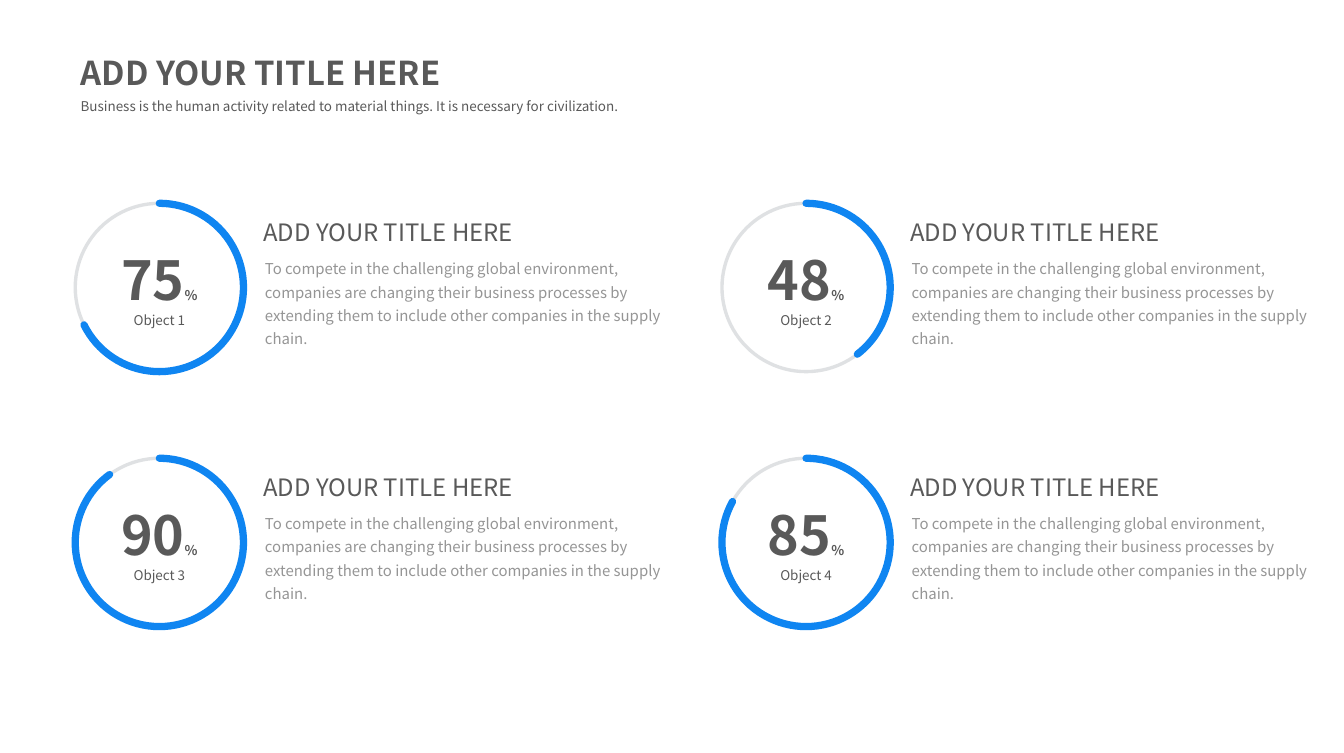
from collections import namedtuple

from lxml.etree import SubElement
from pptx import Presentation
from pptx.dml.color import RGBColor
from pptx.enum.shapes import MSO_SHAPE
from pptx.enum.text import MSO_ANCHOR, MSO_AUTO_SIZE, PP_ALIGN
from pptx.oxml.ns import qn
from pptx.util import Inches, Pt

Box = namedtuple("Box", "left top width height")

FONT = "Noto Sans CJK SC"
DARK, GRAY, BLUE, TRACK = "595959", "959595", "0F85F1", "434F5A"
HEADING = "ADD YOUR TITLE HERE"
SUBTITLE = ("Business is the human activity related to material things. "
            "It is necessary for civilization.")
DESCRIPTION = ("To compete in the challenging global environment, companies are "
               "changing their business processes by extending them to include "
               "other companies in the supply chain.")
OBJECTS = [("75", "Object 1", 153.63), ("48", "Object 2", 52.45),
           ("90", "Object 3", 233.75), ("85", "Object 4", 209.05)]

MARGIN, GRID_TOP = 1.4, 3.78
COLUMN_PITCH, ROW_PITCH = 12.03, 4.74
RING, TEXT_OFFSET, TEXT_WIDTH = 3.13, 3.43, 7.7
HEADING_HEIGHT, DESCRIPTION_HEIGHT = 0.9, 1.85


def color(value):
    return RGBColor.from_string(value)


def inches(box):
    return [Inches(length) for length in box]


def add_run(para, text, size, fill=DARK, bold=False):
    span = para.add_run()
    span.text = text
    span.font.name = FONT
    span.font.size = Pt(size)
    span.font.bold = bold
    span.font.color.rgb = color(fill)


def write(shape, text, size, spacing, fill=DARK, bold=False, anchor=MSO_ANCHOR.TOP):
    frame = shape.text_frame
    frame.word_wrap = True
    frame.auto_size = MSO_AUTO_SIZE.NONE
    frame.vertical_anchor = anchor
    para = frame.paragraphs[0]
    para.alignment = PP_ALIGN.LEFT
    para.line_spacing = spacing
    para.space_before = Pt(0)
    add_run(para, text, size, fill, bold)
    return frame


def add_outline(slide, preset, box, line_color, width):
    shape = slide.shapes.add_shape(preset, *inches(box))
    shape.shadow.inherit = False
    shape.fill.background()
    shape.line.color.rgb = color(line_color)
    shape.line.width = Pt(width)
    return shape


def add_header(slide, box):
    title, subtitle = slide.placeholders
    title_height = box.height * 0.67
    title.left, title.top, title.width, title.height = inches(
        box._replace(height=title_height))
    write(title, HEADING, 44, 1.5, bold=True)
    subtitle.left, subtitle.top, subtitle.width, subtitle.height = inches(
        box._replace(top=box.top + title_height - 0.03, height=0.56))
    write(subtitle, SUBTITLE, 18, 1.5)


def add_ring(slide, box, percent, label, end_angle):
    track = add_outline(slide, MSO_SHAPE.OVAL, box, TRACK, 4.5)
    tint = track.line.fill._xPr.find(".//" + qn("a:srgbClr"))
    SubElement(tint, qn("a:alpha"), val="16000")
    frame = track.text_frame
    frame.vertical_anchor = MSO_ANCHOR.MIDDLE
    value = frame.paragraphs[0]
    add_run(value, percent, 72, bold=True)
    add_run(value, "%", 18, bold=True)
    name = frame.add_paragraph()
    add_run(name, label, 18)
    for para in frame.paragraphs:
        para.alignment = PP_ALIGN.CENTER

    progress = add_outline(slide, MSO_SHAPE.ARC, box, BLUE, 9.75)
    progress.line._get_or_add_ln().set("cap", "rnd")
    for index, angle in enumerate((270, end_angle)):
        progress.adjustments[index] = angle * 0.6


def add_description(slide, box):
    heading = slide.shapes.add_textbox(*inches(box._replace(height=HEADING_HEIGHT)))
    frame = write(heading, HEADING, 32, 1.3, anchor=MSO_ANCHOR.MIDDLE)
    frame.margin_left = Inches(0.07)
    frame.margin_top = frame.margin_right = frame.margin_bottom = 0
    body = slide.shapes.add_textbox(*inches(box._replace(
        top=box.top + HEADING_HEIGHT, height=DESCRIPTION_HEIGHT)))
    write(body, DESCRIPTION, 20, 1.3, fill=GRAY)


def add_object(slide, box, percent, label, end_angle):
    add_ring(slide, box._replace(width=RING), percent, label, end_angle)
    add_description(slide, box._replace(left=box.left + TEXT_OFFSET, width=TEXT_WIDTH))


def main():
    deck = Presentation()
    deck.slide_width, deck.slide_height = Inches(25), Inches(14)
    page = deck.slides.add_slide(deck.slide_layouts.get_by_name("Section Header"))
    add_header(page, Box(MARGIN, 0.57, 10.8, 1.61))
    for index, item in enumerate(OBJECTS):
        row, column = divmod(index, 2)
        box = Box(MARGIN + column * COLUMN_PITCH, GRID_TOP + row * ROW_PITCH,
                  TEXT_OFFSET + TEXT_WIDTH, RING)
        add_object(page, box, *item)
    deck.save("out.pptx")


if __name__ == "__main__":
    main()
